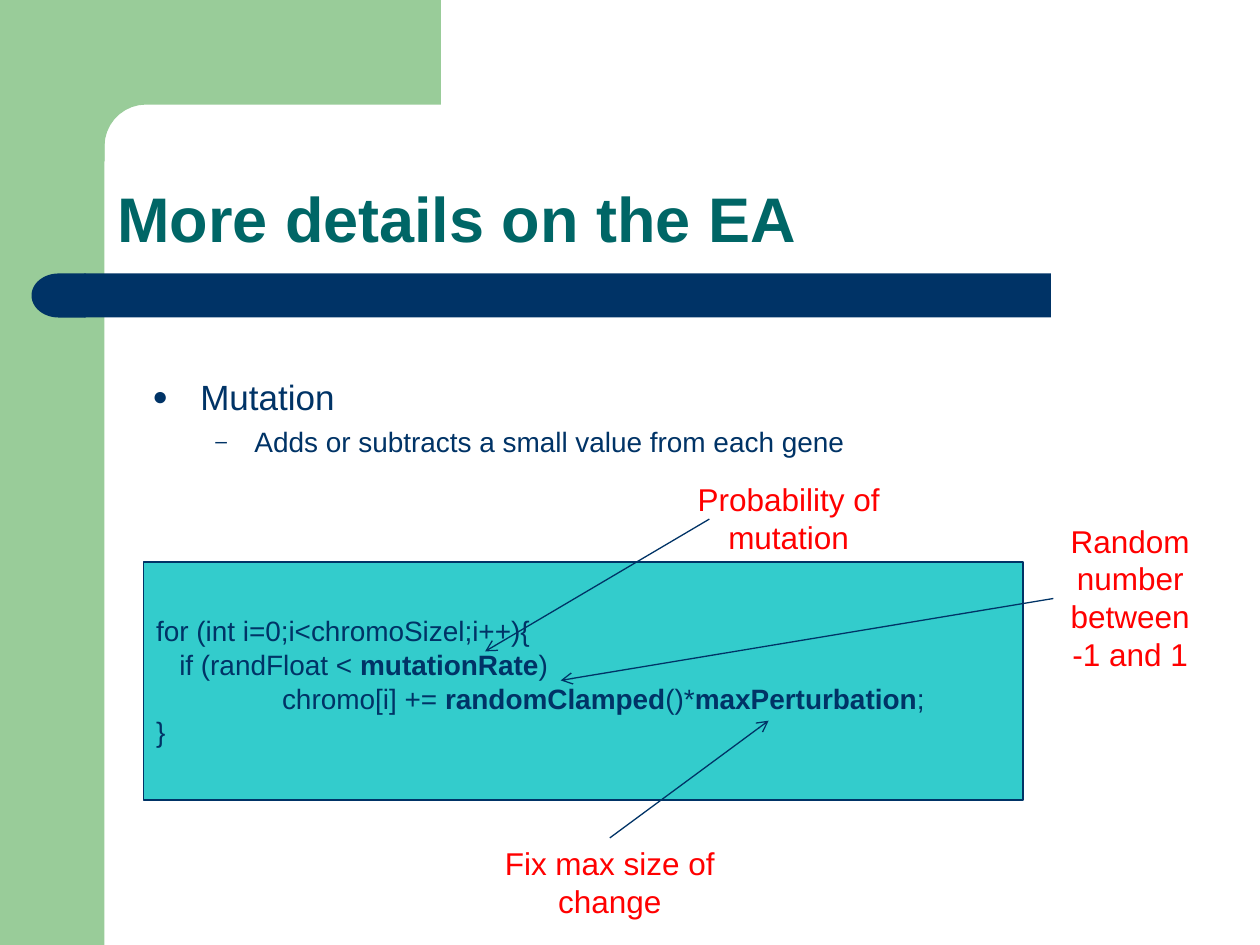
from math import cos, sin, radians

from lxml import etree
from pptx import Presentation
from pptx.dml.color import RGBColor
from pptx.enum.shapes import MSO_CONNECTOR, MSO_SHAPE
from pptx.enum.text import MSO_ANCHOR, MSO_AUTO_SIZE, PP_ALIGN
from pptx.oxml.ns import qn
from pptx.util import Inches, Pt

NAVY, GREEN, TEAL, CYAN, RED = "003366", "99CC99", "006666", "33CCCC", "FF0000"


def color(hex_string):
    return RGBColor.from_string(hex_string)


def style_shape(shape, fill, line=None):
    shape.shadow.inherit = False
    shape.fill.solid()
    shape.fill.fore_color.rgb = color(fill)
    if line:
        shape.line.color.rgb = color(line)
        shape.line.width = Pt(0.75)
    else:
        shape.line.fill.background()


presentation = Presentation()
presentation.slide_width = Inches(10)
presentation.slide_height = Inches(7.5)
slide = presentation.slides.add_slide(presentation.slide_layouts[1])
shapes = slide.shapes

# Green side panel and the corner with its rounded inner edge
side_panel = shapes.add_shape(MSO_SHAPE.RECTANGLE, 0, 0, Inches(0.83), Inches(7.5))
style_shape(side_panel, GREEN)

radius, center = 0.33, 1.16
arc = [(center - radius * sin(radians(angle)), center - radius * cos(radians(angle)))
       for angle in range(0, 91, 10)]
outline = [(3.5, 0.83)] + arc + [(0.83, 1.28), (0.5, 1.28), (0.5, 0)]
builder = shapes.build_freeform(Inches(3.5), 0, scale=1.0)
builder.add_line_segments([(Inches(x), Inches(y)) for x, y in outline], close=True)
style_shape(builder.convert_to_shape(), GREEN)

# Navy bar with a round left end
bar = shapes.add_shape(MSO_SHAPE.RECTANGLE, Inches(0.67), Inches(2.17), Inches(7.67), Inches(0.35))
style_shape(bar, NAVY)
bar_end = shapes.add_shape(MSO_SHAPE.FLOWCHART_DELAY, Inches(0.25), Inches(2.17), Inches(0.43), Inches(0.35))
bar_end.rotation = 180
style_shape(bar_end, NAVY)

# Title
title = shapes.title
title.left, title.top, title.width, title.height = (Inches(v) for v in (0.83, 0.83, 8.67, 1.25))
title.text_frame.text = "More details on the EA"
title.text_frame.auto_size = MSO_AUTO_SIZE.NONE
title.text_frame.vertical_anchor = MSO_ANCHOR.BOTTOM
paragraph = title.text_frame.paragraphs[0]
paragraph.alignment = PP_ALIGN.LEFT
paragraph.line_spacing = 0.9
paragraph.font.name = "Arial"
paragraph.font.size = Pt(36)
paragraph.font.bold = True
paragraph.font.color.rgb = color(TEAL)

# Bulleted list
body = slide.placeholders[1]
body.left, body.top, body.width, body.height = (Inches(v) for v in (1.11, 2.93, 8.41, 4.07))
frame = body.text_frame
frame.auto_size = MSO_AUTO_SIZE.NONE
bullets = [
    ("Mutation", "●", 20, 0.38, 0.38, 0),
    ("Adds or subtracts a small value from each gene", "–", 16, 0.81, 0.31, 4),
]
for level, (text, bullet, size, margin, hanging, space) in enumerate(bullets):
    paragraph = frame.paragraphs[0] if level == 0 else frame.add_paragraph()
    paragraph.text = text
    paragraph.level = level
    paragraph.space_before = Pt(space)
    properties = paragraph._p.get_or_add_pPr()
    properties.set("marL", str(Inches(margin)))
    properties.set("indent", str(-Inches(hanging)))
    bullet_color = etree.SubElement(properties, qn("a:buClr"))
    etree.SubElement(bullet_color, qn("a:srgbClr"), val=NAVY)
    etree.SubElement(properties, qn("a:buSzPct"), val="75000")
    etree.SubElement(properties, qn("a:buFont"), typeface="Arial")
    etree.SubElement(properties, qn("a:buChar"), char=bullet)
    paragraph.font.name = "Arial"
    paragraph.font.size = Pt(size)
    paragraph.font.color.rgb = color(NAVY)

# Code box: each line is a list of (text, bold) runs
code_lines = [
    [("for (int i=0;i<chromoSizel;i++){", False)],
    [("   if (randFloat < ", False), ("mutationRate", True), (")", False)],
    [("\tchromo[i] += ", False), ("randomClamped", True), ("()*", False),
     ("maxPerturbation", True), (";", False)],
    [("}", False)],
]
code_box = shapes.add_shape(MSO_SHAPE.RECTANGLE, Inches(1.14), Inches(4.46), Inches(6.98), Inches(1.89))
style_shape(code_box, CYAN, NAVY)
frame = code_box.text_frame
frame.word_wrap = True
frame.vertical_anchor = MSO_ANCHOR.MIDDLE
for index, code_line in enumerate(code_lines):
    paragraph = frame.paragraphs[0] if index == 0 else frame.add_paragraph()
    paragraph.alignment = PP_ALIGN.LEFT
    tabs = etree.SubElement(paragraph._p.get_or_add_pPr(), qn("a:tabLst"))
    etree.SubElement(tabs, qn("a:tab"), pos=str(Inches(1)), algn="l")
    paragraph.font.name = "Arial"
    paragraph.font.size = Pt(16)
    paragraph.font.color.rgb = color(NAVY)
    for text, bold in code_line:
        run = paragraph.add_run()
        run.text = text
        run.font.bold = bold

# Red notes, each with an arrow into the code
notes = [
    ("Random number between -1 and 1", (8.36, 4.09, 1.22, 1.31), (8.36, 4.75, 4.45, 5.4)),
    ("Fix max size of change", (3.85, 6.65, 1.98, 0.71), (4.84, 6.65, 6.1, 5.72)),
    ("Probability of mutation", (5.16, 3.76, 2.2, 0.71), (5.63, 4.12, 3.85, 5.17)),
]
for text, box, ends in notes:
    note = shapes.add_textbox(*(Inches(v) for v in box))
    note.text_frame.word_wrap = True
    note.text_frame.text = text
    paragraph = note.text_frame.paragraphs[0]
    paragraph.alignment = PP_ALIGN.CENTER
    paragraph.font.name = "Arial"
    paragraph.font.size = Pt(18)
    paragraph.font.color.rgb = color(RED)

    arrow = shapes.add_connector(MSO_CONNECTOR.STRAIGHT, *(Inches(v) for v in ends))
    if text.startswith("Fix"):
        arrow.begin_connect(note, 0)
    arrow.line.color.rgb = color(NAVY)
    arrow.line.width = Pt(0.75)
    etree.SubElement(arrow.line._get_or_add_ln(), qn("a:tailEnd"), type="arrow")
    etree.SubElement(arrow._element.spPr, qn("a:effectLst"))

presentation.save("out.pptx")
